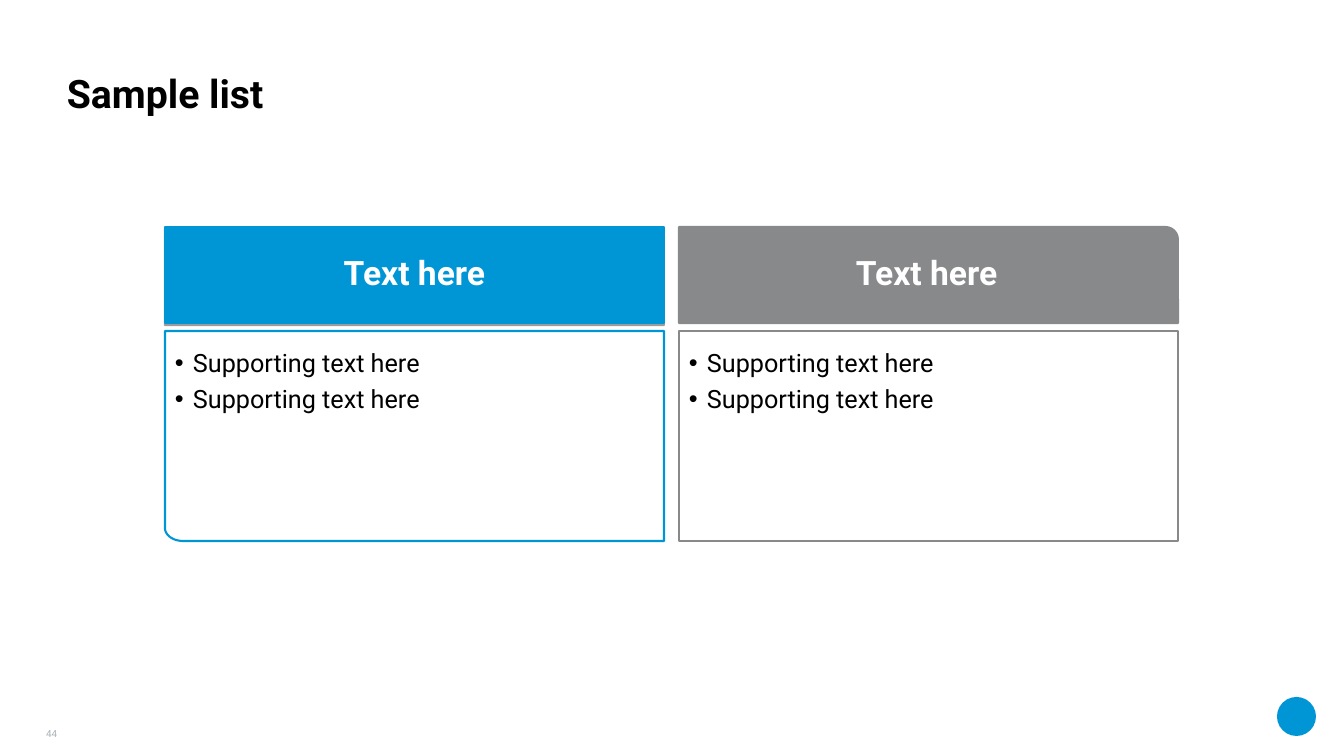
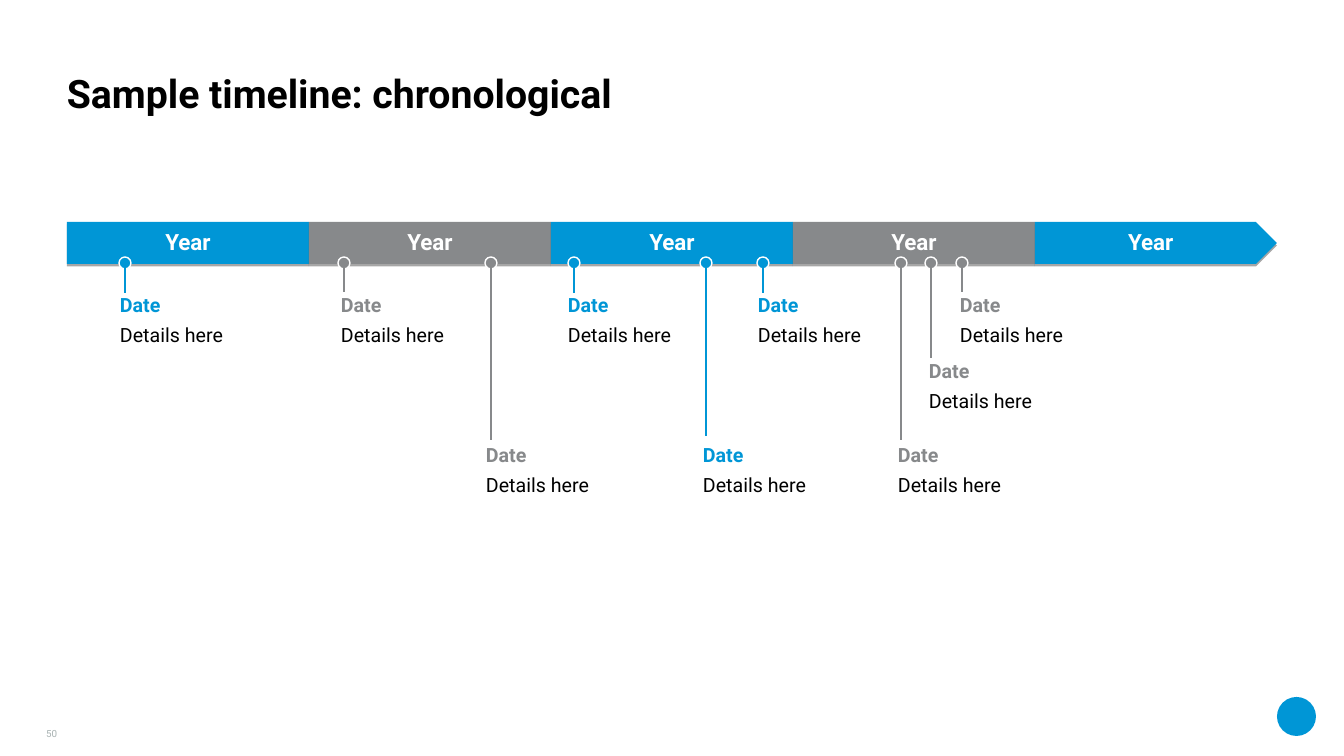
import math
from lxml import etree
from pptx import Presentation
from pptx import util as u
from pptx.dml.color import RGBColor
from pptx.enum import shapes, text
from pptx.oxml import ns

PX = 914400 / 100.8
WIDE, HIGH = 1344, 756
BLUE = RGBColor(0x00, 0x96, 0xD6)
GRAY = RGBColor(0x87, 0x89, 0x8B)
PALE = RGBColor(0xA8, 0xB2, 0xB2)
BLACK = RGBColor(0, 0, 0)
WHITE = RGBColor(255, 255, 255)
FONT = "Roboto"
FORM = shapes.MSO_SHAPE
ALIGN = text.PP_ALIGN
ANCHOR = text.MSO_ANCHOR


def emu(px):
    return u.Emu(round(px * PX))


def add(parent, tag, **attrs):
    """Append a DrawingML child element with the given attributes."""
    node = etree.SubElement(parent, ns.qn(tag))
    for key, val in attrs.items():
        node.set(key, str(val))
    return node


class Deck:
    def __init__(self):
        self.prs = Presentation()
        self.prs.slide_width = emu(WIDE)
        self.prs.slide_height = emu(HIGH)

    def page(self, title, num):
        """Start a slide with its title, page number and corner mark."""
        self.slide = self.prs.slides.add_slide(self.prs.slide_layouts[6])
        self.shape(FORM.OVAL, 1277, 697, 39, 39, BLUE)
        self.box(67, 33, 1210, 84, [title], 28, bold=True, anchor=ANCHOR.BOTTOM)
        self.box(23, 715, 34, 24, [num], 7, PALE, anchor=ANCHOR.BOTTOM,
                 align=ALIGN.RIGHT, lead=1)

    def fill_text(self, shape, lines, size, color=BLACK, bold=False,
                  align=ALIGN.LEFT, anchor=ANCHOR.TOP, pads=(0, 0, 0, 0),
                  lead=0.9, bullet=False):
        frame = shape.text_frame
        frame.text = "\n".join(lines)
        frame.word_wrap = True
        frame.vertical_anchor = anchor
        (frame.margin_left, frame.margin_top,
         frame.margin_right, frame.margin_bottom) = map(emu, pads)
        for i, para in enumerate(frame.paragraphs):
            para.alignment = align
            para.line_spacing = lead
            para.space_before = u.Pt(6 if i else 0)
            if bullet:
                props = para._p.get_or_add_pPr()
                props.set("marL", str(emu(18)))
                props.set("indent", str(emu(-18)))
                add(props, "a:buFont", typeface="Arial")
                add(props, "a:buChar", char="•")
            for run in para.runs:
                font = run.font
                font.name, font.size, font.bold = FONT, u.Pt(size), bold
                font.color.rgb = color

    def box(self, x, y, w, h, lines, size, color=BLACK, **style):
        box = self.slide.shapes.add_textbox(*map(emu, (x, y, w, h)))
        self.fill_text(box, lines, size, color, **style)
        return box

    def paint(self, shape, fill=None, line=None, width=1.5, shade=None):
        """Set fill, outline and an optional (percent, points) drop shadow."""
        shape.shadow.inherit = False
        if fill is None:
            shape.fill.background()
        else:
            shape.fill.solid()
            shape.fill.fore_color.rgb = fill
        if line is None:
            shape.line.fill.background()
        else:
            shape.line.color.rgb = line
            shape.line.width = u.Pt(width)
        if shade:
            alpha, dist = shade
            effect = shape._element.spPr.find(ns.qn("a:effectLst"))
            drop = add(effect, "a:outerShdw", blurRad=0, dist=u.Pt(dist),
                       dir=5400000, rotWithShape=0)
            tint = add(drop, "a:srgbClr", val=BLACK)
            add(tint, "a:alpha", val=alpha * 1000)

    def shape(self, form, x, y, w, h, fill=None, line=None, **style):
        shape = self.slide.shapes.add_shape(form, *map(emu, (x, y, w, h)))
        self.paint(shape, fill, line, **style)
        return shape

    def panel(self, x, y, w, h, line, rx=18, ry=13, steps=12):
        """Outline a rectangle whose lower left corner is rounded."""
        turns = [math.pi / 2 * i / steps for i in range(steps + 1)]
        curve = [(x + rx - rx * math.sin(t), y + h - ry + ry * math.cos(t))
                 for t in turns]
        points = [(x + w, y), (x + w, y + h), *curve]
        outline = self.slide.shapes.build_freeform(emu(x), emu(y))
        outline.add_line_segments([(emu(a), emu(b)) for a, b in points])
        shape = outline.convert_to_shape()
        self.paint(shape, line=line)
        return shape

    def stem(self, x, top, end, color):
        line = self.slide.shapes.add_connector(
            shapes.MSO_CONNECTOR.STRAIGHT, *map(emu, (x, end, x, top)))
        line.line.color.rgb = color
        line.line.width = u.Pt(1.5)
        add(line._element.spPr, "a:effectLst")

    def label(self, shape, words, size):
        self.fill_text(shape, [words], size, WHITE, bold=True,
                       align=ALIGN.CENTER, anchor=ANCHOR.MIDDLE,
                       pads=(10, 5, 10, 5))


def columns(deck):
    deck.page("Sample list", "44")
    left, step, wide = 165, 514, 499
    right = left + step
    top, tall = 227, 96
    low, deep = 331, 210
    heads = [
        deck.shape(FORM.RECTANGLE, left, top, wide, tall, BLUE, BLUE,
                   shade=(38, 1.6)),
        deck.shape(FORM.ROUND_1_RECTANGLE, right, top, wide, tall, GRAY, GRAY),
    ]
    heads[1].adjustments[0] = 0.13
    bodies = [
        deck.panel(left, low, wide, deep, BLUE),
        deck.shape(FORM.RECTANGLE, right, low, wide, deep, line=GRAY),
    ]
    for head, body in zip(heads, bodies):
        deck.label(head, "Text here", 24)
        deck.fill_text(body, ["Supporting text here"] * 2, 18, bullet=True,
                       pads=(10, 20, 10, 5))


def timeline(deck):
    deck.page("Sample timeline: chronological", "50")
    left, wide, count = 67, 242, 5
    for i in range(count):
        form = FORM.PENTAGON if i == count - 1 else FORM.RECTANGLE
        year = deck.shape(form, left + i * wide, 222, wide, 42,
                          GRAY if i % 2 else BLUE, shade=(35, 1.8))
        deck.label(year, "Year", 16)

    high, mid, low = 296, 362, 446
    # dot centre, stem end, text left, text top, colour
    events = [
        (125, 293, 120, high, BLUE),
        (344, 292, 341, high, GRAY),
        (491, 440, 486, low, GRAY),
        (574, 293, 568, high, BLUE),
        (706, 436, 703, low, BLUE),
        (763, 293, 758, high, BLUE),
        (901, 440, 898, low, GRAY),
        (931, 358, 929, mid, GRAY),
        (962, 292, 960, high, GRAY),
    ]
    for dot, end, x, y, color in events:
        deck.shape(FORM.OVAL, dot - 6, 257, 12, 12, color, WHITE, width=1)
        deck.stem(dot, 267 if color == BLUE else 265, end, color)
        note = deck.box(x, y, 157, 58, ["Date", "Details here"], 14)
        font = note.text_frame.paragraphs[0].runs[0].font
        font.bold, font.color.rgb = True, color


def main():
    deck = Deck()
    columns(deck)
    timeline(deck)
    deck.prs.save("out.pptx")


if __name__ == "__main__":
    main()
